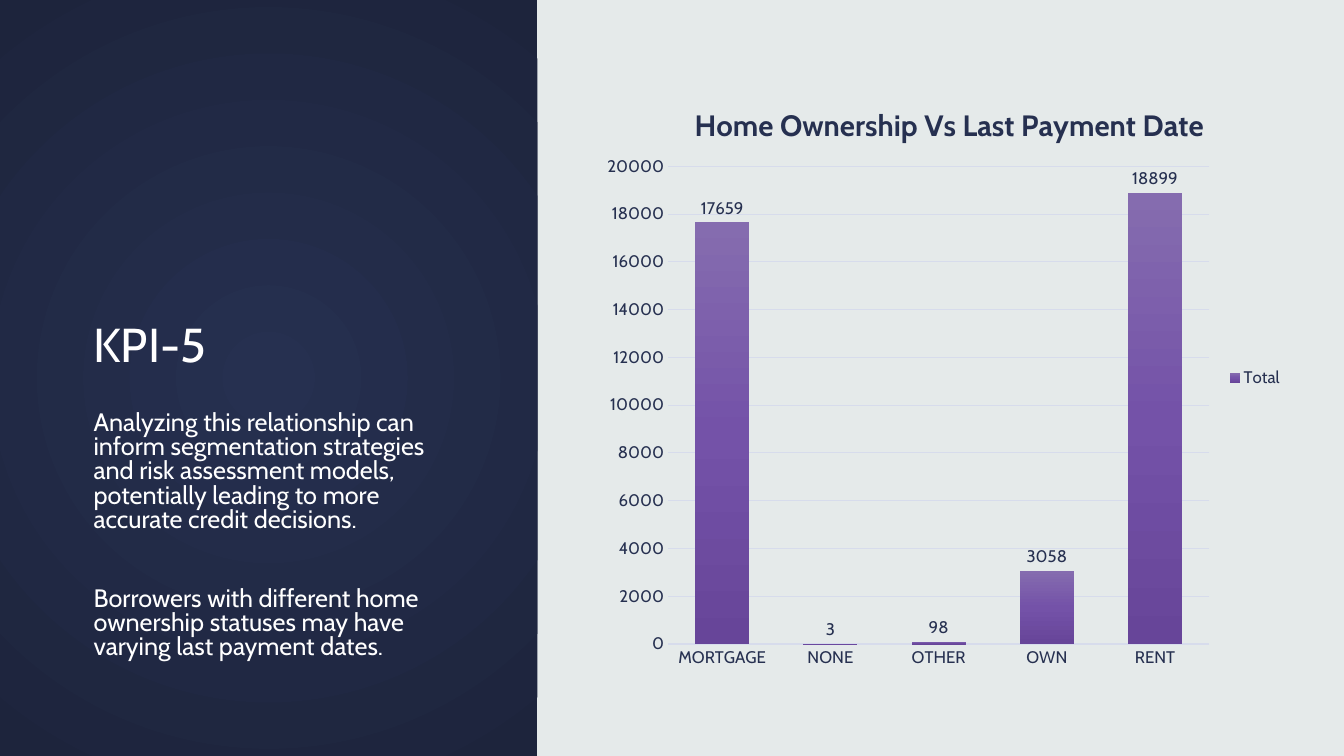
from dataclasses import dataclass

from lxml.etree import SubElement
from pptx import Presentation
from pptx.chart.data import CategoryChartData
from pptx.dml.color import RGBColor
from pptx.enum.chart import XL_CHART_TYPE, XL_LABEL_POSITION, XL_LEGEND_POSITION, XL_TICK_MARK
from pptx.enum.shapes import MSO_SHAPE
from pptx.enum.text import MSO_ANCHOR
from pptx.oxml import parse_xml
from pptx.oxml.ns import nsdecls, qn
from pptx.util import Inches, Pt


@dataclass(frozen=True)
class Theme:
    font: str = "Cabin"
    background: str = "E5EAEA"
    ink: str = "263050"
    light: str = "FFFFFF"
    grid: str = "D7DCEC"
    panel: tuple = ((0, "263050"), (100, "1D243C"))
    bar: tuple = ((0, "856CAF"), (50, "7452A8"), (100, "674599"))
    title: int = 34
    body: int = 18
    chart_title: int = 21
    label: int = 12


RADIAL = '<a:path path="circle"><a:fillToRect l="50000" t="50000" r="50000" b="50000"/></a:path>'
DOWNWARD = '<a:lin ang="5400000" scaled="0"/>'


def set_font(font, size, color, name, bold=False):
    font.size, font.name, font.bold = Pt(size), name, bold
    font.color.rgb = RGBColor.from_string(color)


def add_text(tf, text, *, size, color, font, first=True, bold=False, spacing=None, before=None):
    """Write one paragraph with its format."""
    p = tf.paragraphs[0] if first else tf.add_paragraph()
    if spacing:
        p.line_spacing = spacing
    if before is not None:
        p.space_before = Pt(before)
    r = p.add_run()
    r.text = text
    set_font(r.font, size, color, font, bold)


def set_gradient(fill, sp_pr, stops, direction):
    """Swap a solid fill for a gradient."""
    fill.solid()
    gs = "".join(f'<a:gs pos="{pos * 1000}"><a:srgbClr val="{color}"/></a:gs>' for pos, color in stops)
    grad = parse_xml(f'<a:gradFill {nsdecls("a")} rotWithShape="1"><a:gsLst>{gs}</a:gsLst>{direction}</a:gradFill>')
    sp_pr.replace(sp_pr.find(qn("a:solidFill")), grad)


def set_layout(element, **position):
    """Place a chart part by fractions of the chart area."""
    layout = element.find(qn("c:layout"))
    if layout is None:
        layout = element.get_or_add_layout()
    for child in list(layout):
        layout.remove(child)
    manual = SubElement(layout, qn("c:manualLayout"))
    if "w" in position:
        SubElement(manual, qn("c:layoutTarget"), val="inner")
    for key in ("x", "y"):
        SubElement(manual, qn(f"c:{key}Mode"), val="edge")
    for key, value in position.items():
        SubElement(manual, qn(f"c:{key}"), val=str(value))


class SlideBuilder:
    def __init__(self, slide, theme):
        self.s, self.theme = slide, theme
        fill = slide.background.fill
        fill.solid()
        fill.fore_color.rgb = RGBColor.from_string(theme.background)

    def panel(self, x, y, w, h):
        sp = self.s.shapes.add_shape(MSO_SHAPE.RECTANGLE, Inches(x), Inches(y), Inches(w), Inches(h))
        sp.shadow.inherit = False
        sp.line.fill.background()
        set_gradient(sp.fill, sp._element.spPr, self.theme.panel, RADIAL)

    def text(self, x, y, w, h, paragraphs, size, spacing, gaps, anchor=MSO_ANCHOR.TOP):
        tf = self.s.shapes.add_textbox(Inches(x), Inches(y), Inches(w), Inches(h)).text_frame
        tf.word_wrap, tf.vertical_anchor = True, anchor
        for i, (text, gap) in enumerate(zip(paragraphs, gaps)):
            add_text(tf, text, first=i == 0, size=size, color=self.theme.light,
                     font=self.theme.font, spacing=spacing, before=gap)

    def column_chart(self, x, y, w, h, title, name, values):
        t = self.theme
        data = CategoryChartData()
        data.categories = list(values)
        data.add_series(name, list(values.values()))
        chart = self.s.shapes.add_chart(XL_CHART_TYPE.COLUMN_CLUSTERED, Inches(x), Inches(y),
                                        Inches(w), Inches(h), data).chart
        set_font(chart.font, t.label, t.ink, t.font)

        # Title and legend
        chart.has_title = True
        add_text(chart.chart_title.text_frame, title, size=t.chart_title,
                 color=t.ink, font=t.font, bold=True)
        chart.chart_title.include_in_layout = False
        set_layout(chart.chart_title._element, x=0.14, y=0.04)
        chart.has_legend = True
        chart.legend.position = XL_LEGEND_POSITION.RIGHT
        chart.legend.include_in_layout = False
        set_font(chart.legend.font, t.label, t.ink, t.font)

        # Axes
        cat, val = chart.category_axis, chart.value_axis
        for axis in (cat, val):
            axis.major_tick_mark = axis.minor_tick_mark = XL_TICK_MARK.NONE
            set_font(axis.tick_labels.font, t.label, t.ink, t.font)
        val.minimum_scale, val.maximum_scale, val.major_unit = 0, 20000, 2000
        val.format.line.fill.background()
        for line in (cat.format.line, val.major_gridlines.format.line):
            line.width = Pt(0.75)
            line.color.rgb = RGBColor.from_string(t.grid)

        # Columns and their labels
        plot = chart.plots[0]
        plot.gap_width, plot.overlap, plot.vary_by_categories = 100, -24, False
        series = plot.series[0]
        set_gradient(series.format.fill, series._element.get_or_add_spPr(), t.bar, DOWNWARD)
        labels = series.data_labels
        labels.show_value, labels.position = True, XL_LABEL_POSITION.OUTSIDE_END
        set_font(labels.font, t.label, t.ink, t.font)
        area = chart._chartSpace.chart.plotArea
        if area.find(qn("c:layout")) is None:
            area.insert(0, area.makeelement(qn("c:layout")))
        set_layout(area, x=0.11, y=0.15, w=0.77, h=0.79)


def main():
    prs = Presentation()
    prs.slide_width, prs.slide_height = Inches(13.33), Inches(7.5)
    theme = Theme()
    slide = SlideBuilder(prs.slides.add_slide(prs.slide_layouts[6]), theme)

    # Left panel with the message
    slide.panel(0, 0, 5.33, 7.5)
    slide.text(0.83, 2.58, 3.5, 1.17, ["KPI-5"], theme.title, 0.9, [0], MSO_ANCHOR.BOTTOM)
    slide.text(0.83, 4.04, 3.5, 2.83, [
        "Analyzing this relationship can inform segmentation strategies and risk assessment models, "
        "potentially leading to more accurate credit decisions.",
        "Borrowers with different home ownership statuses may have varying last payment dates.",
    ], theme.body, 0.8, [12, 39])

    # Right side chart
    slide.column_chart(5.86, 0.75, 6.97, 6, "Home Ownership Vs Last Payment Date", "Total",
                       {"MORTGAGE": 17659, "NONE": 3, "OTHER": 98, "OWN": 3058, "RENT": 18899})
    prs.save("out.pptx")


if __name__ == "__main__":
    main()
